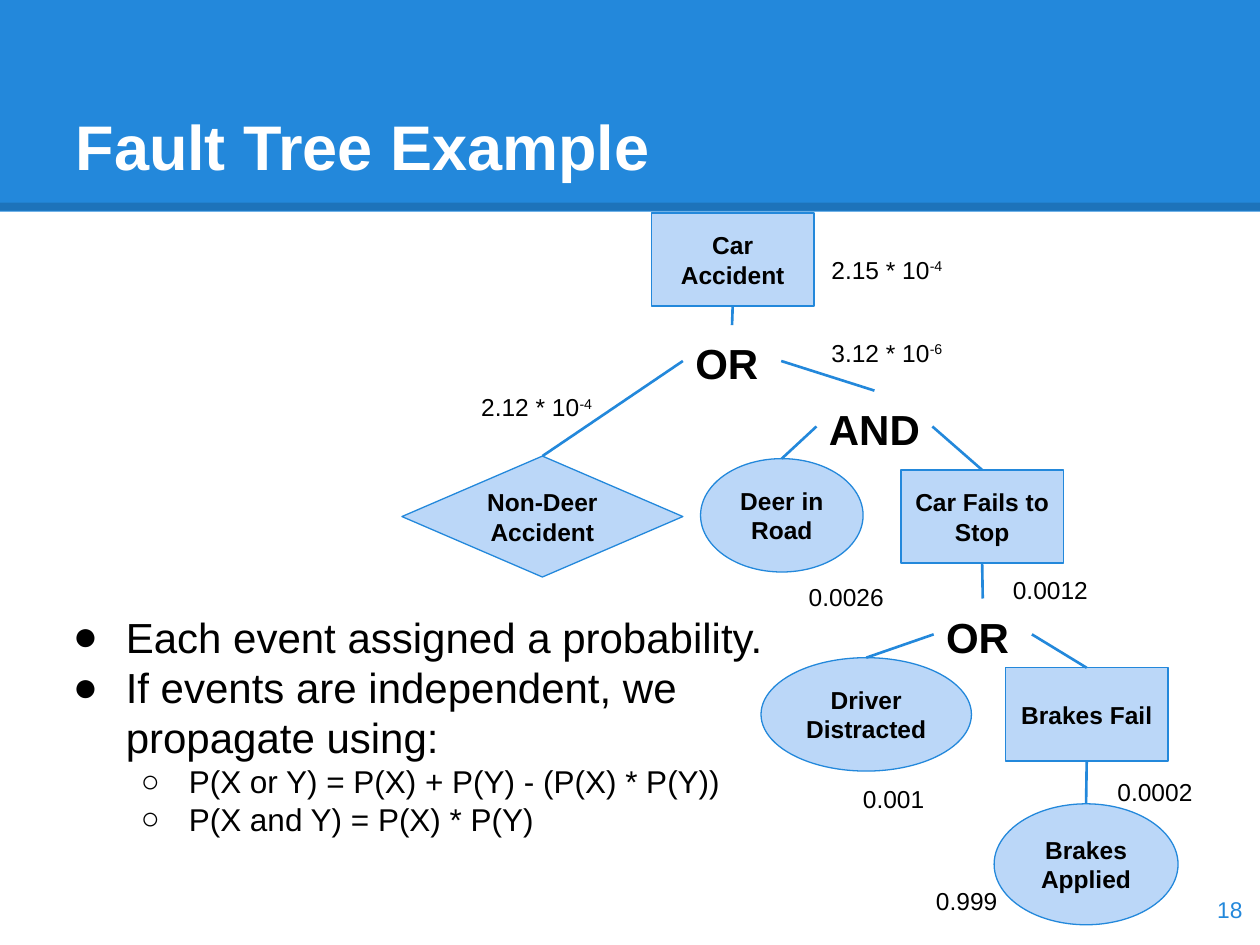
from lxml import etree
from pptx import Presentation
from pptx import util as u
from pptx.dml.color import RGBColor
from pptx.enum import shapes, text
from pptx.oxml.ns import qn

COLORS = {"blue": "2388DB", "pale": "BBD7F8", "black": "000000", "white": "FFFFFF"}
FONT = "Arial"
COLUMNS, ROWS = 100, 75
CELL = u.Inches(0.1)
LEFT, CENTER, RIGHT = text.PP_ALIGN.LEFT, text.PP_ALIGN.CENTER, text.PP_ALIGN.RIGHT
TOP, MIDDLE, BOTTOM = text.MSO_ANCHOR.TOP, text.MSO_ANCHOR.MIDDLE, text.MSO_ANCHOR.BOTTOM
RECT, OVAL, DIAMOND = (shapes.MSO_SHAPE.RECTANGLE, shapes.MSO_SHAPE.OVAL,
                       shapes.MSO_SHAPE.DIAMOND)
SIDES = {"top": 0, "left": 1, "bottom": 2, "right": 3}

EVENTS = {
    "accident": ("Car Accident", RECT, (21.7, 1.9, 12.9, 7.4)),
    "no stop": ("Car Fails to Stop", RECT, (41.5, 22.3, 12.9, 7.4)),
    "brakes fail": ("Brakes Fail", RECT, (49.8, 38, 12.9, 7.4)),
    "brakes applied": ("Brakes Applied", OVAL, (48.9, 48.8, 14.6, 9.6)),
    "distracted": ("Driver Distracted", OVAL, (30.4, 37.2, 16.7, 9)),
    "deer": ("Deer in Road", OVAL, (25.6, 21.4, 12.9, 9)),
    "non-deer": ("Non-Deer Accident", DIAMOND, (1.9, 21.2, 22.3, 9.6)),
}
GATES = {
    "cause gate": ("OR", (24.2, 10.8, 7.8, 5.7)),
    "deer gate": ("AND", (34.8, 16, 9.2, 5.7)),
    "stop gate": ("OR", (44.1, 32.5, 7.8, 5.7)),
}
LINKS = [
    ("accident", "bottom", "cause gate", "top"),
    ("cause gate", "left", "non-deer", "top"),
    ("cause gate", "right", "deer gate", "top"),
    ("deer gate", "left", "deer", "top"),
    ("deer gate", "right", "no stop", "top"),
    ("no stop", "bottom", "stop gate", "top"),
    ("stop gate", "left", "distracted", "top"),
    ("stop gate", "right", "brakes fail", "top"),
    ("brakes fail", "bottom", "brakes applied", "top"),
]
PROBABILITIES = [
    ("0.999", "", 43.3, 54.3),
    ("0.0002", "", 57.7, 45.7),
    ("0.001", "", 37.5, 46.2),
    ("0.0012", "", 49.4, 29.6),
    ("0.0026", "", 33.2, 30.2),
    ("3.12 * 10", "-6", 35, 10.8),
    ("2.12 * 10", "-4", 7.2, 15.1),
    ("2.15 * 10", "-4", 35, 4.2),
]
POINTS = [
    (0, "Each event assigned a probability."),
    (0, "If events are independent, we propagate using:"),
    (1, "P(X or Y) = P(X) + P(Y) - (P(X) * P(Y))"),
    (1, "P(X and Y) = P(X) * P(Y)"),
]
LEVELS = [("●", 24, 0.5, -0.42), ("○", 18, 1, -0.38)]


def color(name):
    """Return the named colour."""
    return RGBColor.from_string(COLORS[name])


def cells(box, area):
    """Turn a grid area inside a box into lengths."""
    left, top, width, height = area
    return [int(CELL * n) for n in (box[0] + left, box[1] + top, width, height)]


def style(paragraph, size, ink="black", bold=False, align=LEFT):
    """Format a whole paragraph."""
    paragraph.alignment = align
    font = paragraph.font
    font.name, font.size, font.bold = FONT, u.Pt(size), bold
    font.color.rgb = color(ink)


def set_frame(shape, anchor):
    """Give a shape's text frame its insets, wrapping and anchor."""
    frame = shape.text_frame
    frame.word_wrap, frame.auto_size = True, text.MSO_AUTO_SIZE.NONE
    frame.vertical_anchor = anchor
    frame.margin_left = frame.margin_right = u.Inches(0.1)
    frame.margin_top = frame.margin_bottom = u.Inches(0.1)
    return frame


def add_text(slide, place, words, size, anchor=TOP, **look):
    """Add a text box with one paragraph."""
    shape = slide.shapes.add_textbox(*place)
    paragraph = set_frame(shape, anchor).paragraphs[0]
    paragraph.add_run().text = words
    style(paragraph, size, **look)
    return shape


def add_line(slide, ends, ink, width):
    """Add a straight connector without a shadow."""
    line = slide.shapes.add_connector(shapes.MSO_CONNECTOR.STRAIGHT, *ends)
    line.line.color.rgb, line.line.width = color(ink), u.Pt(width)
    etree.SubElement(line._element.spPr, qn("a:effectLst"))
    return line


def add_shape(slide, kind, place, fill):
    """Add a flat filled shape."""
    shape = slide.shapes.add_shape(kind, *place)
    shape.shadow.inherit = False
    shape.fill.solid()
    shape.fill.fore_color.rgb = color(fill)
    return shape


def add_header(slide, box):
    """Draw the title band, its shaded lower edge and the title."""
    band = add_shape(slide, RECT, cells(box, (0, 0, box[2], box[3])), "blue")
    band.line.fill.background()
    left, edge, width, _ = cells(box, (0, box[3] - 0.4, box[2], 0))
    line = add_line(slide, (left, edge, left + width, edge), "black", 4.5)
    ink = line._element.spPr.find(".//" + qn("a:srgbClr"))
    etree.SubElement(ink, qn("a:alpha"), val="15000")

    title = slide.shapes.title
    title.left, title.top, title.width, title.height = cells(box, (5, 3, 90, 12.5))
    paragraph = set_frame(title, BOTTOM).paragraphs[0]
    paragraph.text = "Fault Tree Example"
    style(paragraph, 36, "white", True)
    slide.shapes._spTree.append(title._element)


def add_tree(slide, box):
    """Draw events, gates, their links and the probabilities."""
    nodes = {}
    for name, (words, kind, area) in EVENTS.items():
        shape = nodes[name] = add_shape(slide, kind, cells(box, area), "pale")
        shape.line.color.rgb, shape.line.width = color("blue"), u.Pt(0.75)
        paragraph = set_frame(shape, MIDDLE).paragraphs[0]
        paragraph.text = words
        style(paragraph, 14, bold=True, align=CENTER)
    for name, (words, area) in GATES.items():
        nodes[name] = add_text(slide, cells(box, area), words, 24, bold=True)
    for start, start_side, end, end_side in LINKS:
        line = add_line(slide, (0, 0, 0, 0), "blue", 1.5)
        line.begin_connect(nodes[start], SIDES[start_side])
        line.end_connect(nodes[end], SIDES[end_side])
    for words, power, left, top in PROBABILITIES:
        width = 12.9 if power else 9.2
        label = add_text(slide, cells(box, (left, top, width, 2.9)), words, 14)
        if power:
            run = label.text_frame.paragraphs[0].add_run()
            run.text = power
            run.font._element.set("baseline", "30000")


def add_points(slide, box):
    """Write the bulleted points."""
    shape = slide.shapes.add_textbox(*cells(box, (0, 0, box[2], box[3])))
    frame = set_frame(shape, TOP)
    for index, (level, words) in enumerate(POINTS):
        paragraph = frame.add_paragraph() if index else frame.paragraphs[0]
        paragraph.text, paragraph.level = words, level
        mark, size, margin, indent = LEVELS[level]
        properties = paragraph._p.get_or_add_pPr()
        properties.set("marL", str(u.Inches(margin)))
        properties.set("indent", str(u.Inches(indent)))
        ink = etree.SubElement(properties, qn("a:buClr"))
        etree.SubElement(ink, qn("a:srgbClr"), val=COLORS["black"])
        etree.SubElement(properties, qn("a:buFont"), typeface=FONT)
        etree.SubElement(properties, qn("a:buChar"), char=mark)
        style(paragraph, size)


def main():
    """Build and save the slide."""
    presentation = Presentation()
    presentation.slide_width, presentation.slide_height = CELL * COLUMNS, CELL * ROWS
    slide = presentation.slides.add_slide(presentation.slide_layouts[5])
    add_header(slide, (0, 0, COLUMNS, 16.8))
    add_tree(slide, (30, 15, 70, 60))
    add_points(slide, (4, 47.5, 63.5, 26.1))
    add_text(slide, cells((0, 0), (93.6, 69.3, 6, 5.7)), "18", 13, MIDDLE,
             ink="blue", align=RIGHT)
    presentation.save("out.pptx")


if __name__ == "__main__":
    main()
